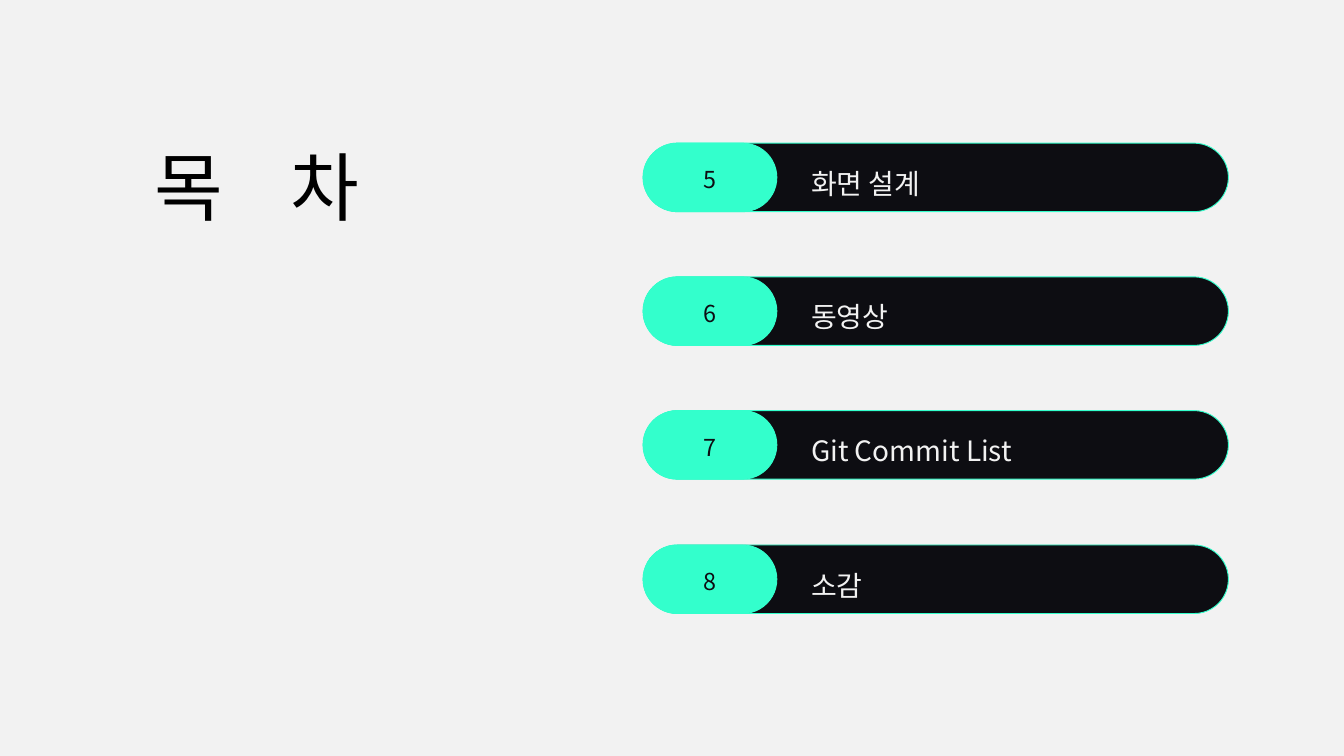
"""Build the second contents slide, listing sections five to eight."""
import pptx
import pptx.dml.color
import pptx.enum.shapes
import pptx.enum.text
import pptx.oxml
import pptx.oxml.ns
import pptx.util

PX = 9144
GREY = pptx.dml.color.RGBColor(0xF2, 0xF2, 0xF2)
INK = pptx.dml.color.RGBColor(0x0D, 0x0D, 0x12)
MINT = pptx.dml.color.RGBColor(0x33, 0xFF, 0xCC)
BLACK = pptx.dml.color.RGBColor(0x00, 0x00, 0x00)
LEFT, CENTER = pptx.enum.text.PP_ALIGN.LEFT, pptx.enum.text.PP_ALIGN.CENTER
HANGUL, LATIN = "Noto Sans CJK KR", "Calibri"
SECTIONS = [
    ("5", "화면 설계", LATIN),
    ("6", "동영상", LATIN),
    ("7", "Git Commit List", HANGUL),
    ("8", "소감", LATIN),
]

deck = pptx.Presentation()
deck.slide_width = 2000 * PX
deck.slide_height = 1125 * PX
page = deck.slides.add_slide(deck.slide_layouts[6])
page.background.fill.solid()
page.background.fill.fore_color.rgb = GREY


def add_pill(left, top, width, height, color):
    pill = page.shapes.add_shape(
        pptx.enum.shapes.MSO_SHAPE.ROUNDED_RECTANGLE,
        left * PX, top * PX, width * PX, height * PX)
    pill.adjustments[0] = 0.5
    pill.shadow.inherit = False
    pill.fill.solid()
    pill.fill.fore_color.rgb = color
    pill.line.color.rgb = MINT
    pill.line.width = pptx.util.Pt(1)


def add_text(left, top, width, height, text, font, size, leading, color, align=LEFT, tab=None):
    box = page.shapes.add_textbox(left * PX, top * PX, width * PX, height * PX)
    frame = box.text_frame
    frame.word_wrap = True
    frame.auto_size = pptx.enum.text.MSO_AUTO_SIZE.SHAPE_TO_FIT_TEXT
    frame.margin_left = frame.margin_right = frame.margin_top = frame.margin_bottom = 0
    para = frame.paragraphs[0]
    para.alignment = align
    para.line_spacing = pptx.util.Pt(leading)
    if tab:
        para._p.get_or_add_pPr().append(pptx.oxml.parse_xml(
            f'<a:tabLst {pptx.oxml.ns.nsdecls("a")}><a:tab pos="{tab * PX}" algn="l"/></a:tabLst>'))
    span = para.add_run()
    span.text = text
    span.font.name = font
    span.font.size = pptx.util.Pt(size)
    span.font.color.rgb = color


for row, (number, label, font) in enumerate(SECTIONS):
    top = 213 + row * 598 // 3
    add_pill(957, top, 871, 102, INK)
    add_pill(957, top, 199, 102, MINT)
    add_text(1039, top + 26, 35, 45, number, HANGUL, 25, 35, INK, CENTER)
    add_text(1207, top + 26, 570, 53, label, font, 30, 42, GREY)

add_text(230, 210, 466, 135, "목\t차", LATIN, 80, 96, BLACK, tab=202)

deck.save("out.pptx")
